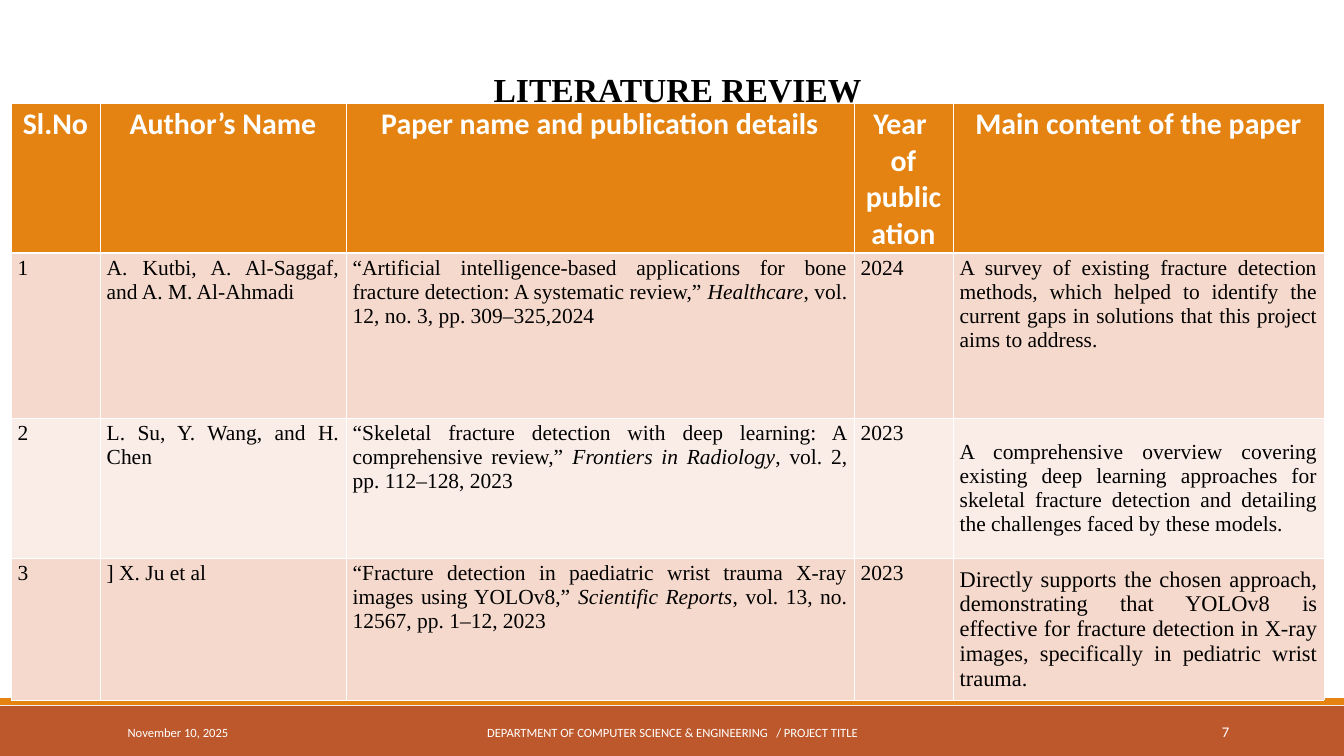
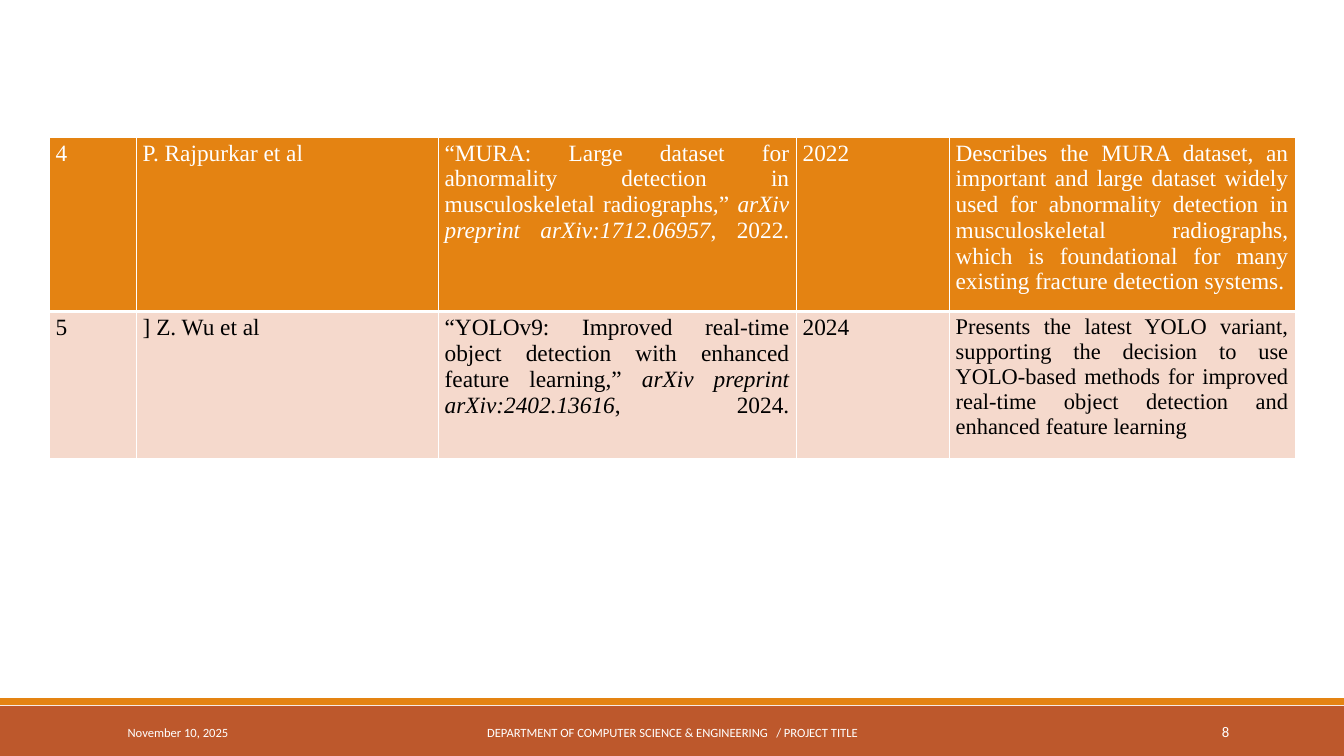
import pptx
import pptx.util
import pptx.dml.color
import pptx.enum.shapes
import pptx.enum.text
import pptx.oxml
import pptx.oxml.ns

RGB = pptx.dml.color.RGBColor
ALIGN = pptx.enum.text.PP_ALIGN
ANCHOR = pptx.enum.text.MSO_ANCHOR

WHITE = RGB(0xFF, 0xFF, 0xFF)
BLACK = RGB(0, 0, 0)
ORANGE = RGB(0xE4, 0x83, 0x12)
RUST = RGB(0xBD, 0x58, 0x2C)
PEACH = RGB(0xF5, 0xD9, 0xCC)
PALE = RGB(0xFA, 0xED, 0xE7)

SERIF = "Times New Roman"
SANS = "Calibri"
SCALE = 914400 / 67.2
WIDE, HIGH = 1344, 756

DATE = "November 10, 2025"
DEPT = "DEPARTMENT OF COMPUTER SCIENCE & ENGINEERING   / PROJECT TITLE"

HEADS = ["Sl.No", "Author’s Name", "Paper name and publication details",
         "Year  of publication", "Main content of the paper"]
PAPERS = [
    ["1", "A. Kutbi, A. Al-Saggaf, and A. M. Al-Ahmadi",
     "“Artificial intelligence-based applications for bone fracture detection: "
     "A systematic review,” *Healthcare*, vol. 12, no. 3, pp. 309–325,2024",
     "2024",
     "A survey of existing fracture detection methods, which helped to identify "
     "the current gaps in solutions that this project aims to address."],
    ["2", "L. Su, Y. Wang, and H. Chen",
     "“Skeletal fracture detection with deep learning: A comprehensive review,” "
     "*Frontiers in Radiology*, vol. 2, pp. 112–128, 2023",
     "2023",
     "A comprehensive overview covering existing deep learning approaches for "
     "skeletal fracture detection and detailing the challenges faced by these models."],
    ["3", "] X. Ju et al",
     "“Fracture detection in paediatric wrist trauma X-ray images using YOLOv8,” "
     "*Scientific Reports*, vol. 13, no. 12567, pp. 1–12, 2023",
     "2023",
     "Directly supports the chosen approach, demonstrating that YOLOv8 is effective "
     "for fracture detection in X-ray images, specifically in pediatric wrist trauma."],
    ["4", "P. Rajpurkar et al",
     "“MURA: Large dataset for abnormality detection in musculoskeletal radiographs,” "
     "*arXiv preprint arXiv:1712.06957*, 2022.\n",
     "2022",
     "Describes the MURA dataset, an important and large dataset widely used for "
     "abnormality detection in musculoskeletal radiographs, which is foundational "
     "for many existing fracture detection systems."],
    ["5", "] Z. Wu et al",
     "“YOLOv9: Improved real-time object detection with enhanced feature learning,” "
     "*arXiv preprint arXiv:2402.13616*, 2024.\n",
     "2024",
     "Presents the latest YOLO variant, supporting the decision to use YOLO-based "
     "methods for improved real-time object detection and enhanced feature learning"],
]


def px(count):
    return pptx.util.Emu(round(count * SCALE))


def write(frame, text, size=23, font=SERIF, color=BLACK, bold=False,
          align=ALIGN.JUSTIFY, space=None):
    frame.word_wrap = True
    para = frame.paragraphs[0]
    para.alignment = align
    para.line_spacing = space
    for index, part in enumerate(text.split("*")):
        run = para.add_run()
        run.text = part.rstrip("\n")
        run.font.size = pptx.util.Pt(size)
        run.font.name = font
        run.font.color.rgb = color
        run.font.bold = bold
        run.font.italic = index % 2 == 1
    if text.endswith("\n"):
        para.add_line_break()


def band(slide, left, top, width, height, color):
    shape = slide.shapes.add_shape(pptx.enum.shapes.MSO_SHAPE.RECTANGLE,
                                   px(left), px(top), px(width), px(height))
    shape.shadow.inherit = False
    shape.fill.solid()
    shape.fill.fore_color.rgb = color
    shape.line.fill.background()


def label(slide, left, width, text, align, size=13.5):
    frame = slide.shapes.add_textbox(px(left), px(712), px(width), px(40)).text_frame
    frame.vertical_anchor = ANCHOR.MIDDLE
    write(frame, text, size=size, font=SANS, color=WHITE, align=align)


def footer(slide, number):
    band(slide, 0, 706, WIDE, 50, RUST)
    band(slide, 0, 698, WIDE, 7, ORANGE)
    label(slide, 121, 273, DATE, ALIGN.LEFT)
    label(slide, 407, 531, DEPT, ALIGN.CENTER)
    label(slide, 1091, 145, str(number), ALIGN.RIGHT, size=15.8)


def title(slide, text):
    shape = slide.shapes.title
    shape.left, shape.top, shape.width, shape.height = map(px, (41, 42, 1239, 60))
    frame = shape.text_frame
    frame.auto_size = pptx.enum.text.MSO_AUTO_SIZE.NONE
    frame.vertical_anchor = ANCHOR.TOP
    frame.margin_left = px(41)
    frame.margin_top = px(7)
    write(frame, text, size=36, bold=True, align=ALIGN.CENTER, space=1.5)


def border(cell, base):
    props = cell._tc.get_or_add_tcPr()
    for side, points in (("L", 1), ("R", 1), ("T", 1), ("B", base)):
        props.append(pptx.oxml.parse_xml(
            f'<a:ln{side} {pptx.oxml.ns.nsdecls("a")} w="{int(pptx.util.Pt(points))}">'
            f'<a:solidFill><a:srgbClr val="{str(WHITE)}"/></a:solidFill></a:ln{side}>'))


def grid(slide, left, top, widths, heights):
    table = slide.shapes.add_table(len(heights), len(widths), px(left), px(top),
                                   px(sum(widths)), px(sum(heights))).table
    table.first_row = False
    table.horz_banding = False
    for column, width in zip(table.columns, widths):
        column.width = px(width)
    for row, height in zip(table.rows, heights):
        row.height = px(height)
    return table


def fill(table, row, texts, back, last=None, middle=False, **style):
    for index, text in enumerate(texts):
        cell = table.cell(row, index)
        border(cell, 1 if row else 3)
        cell.fill.solid()
        cell.fill.fore_color.rgb = back
        look = dict(style)
        if index == len(texts) - 1:
            if middle:
                cell.vertical_anchor = ANCHOR.MIDDLE
            if last:
                look["size"] = last
        write(cell.text_frame, text, **look)


def main():
    deck = pptx.Presentation()
    deck.slide_width, deck.slide_height = px(WIDE), px(HIGH)

    review = deck.slides.add_slide(deck.slide_layouts[5])
    footer(review, 7)
    title(review, "LITERATURE REVIEW")
    table = grid(review, 11, 103, [89, 246, 508, 99, 371], [150, 165, 140, 142])
    fill(table, 0, HEADS, ORANGE, size=32, font=SANS, color=WHITE, bold=True,
         align=ALIGN.CENTER)
    fill(table, 1, PAPERS[0], PEACH)
    fill(table, 2, PAPERS[1], PALE, middle=True)
    fill(table, 3, PAPERS[2], PEACH, last=24, middle=True)

    more = deck.slides.add_slide(deck.slide_layouts[6])
    footer(more, 8)
    table = grid(more, 49, 137, [87, 302, 358, 153, 346], [174, 147])
    fill(table, 0, PAPERS[3], ORANGE, size=25, color=WHITE)
    fill(table, 1, PAPERS[4], PEACH, size=25, last=24)

    deck.save("out.pptx")


if __name__ == "__main__":
    main()
